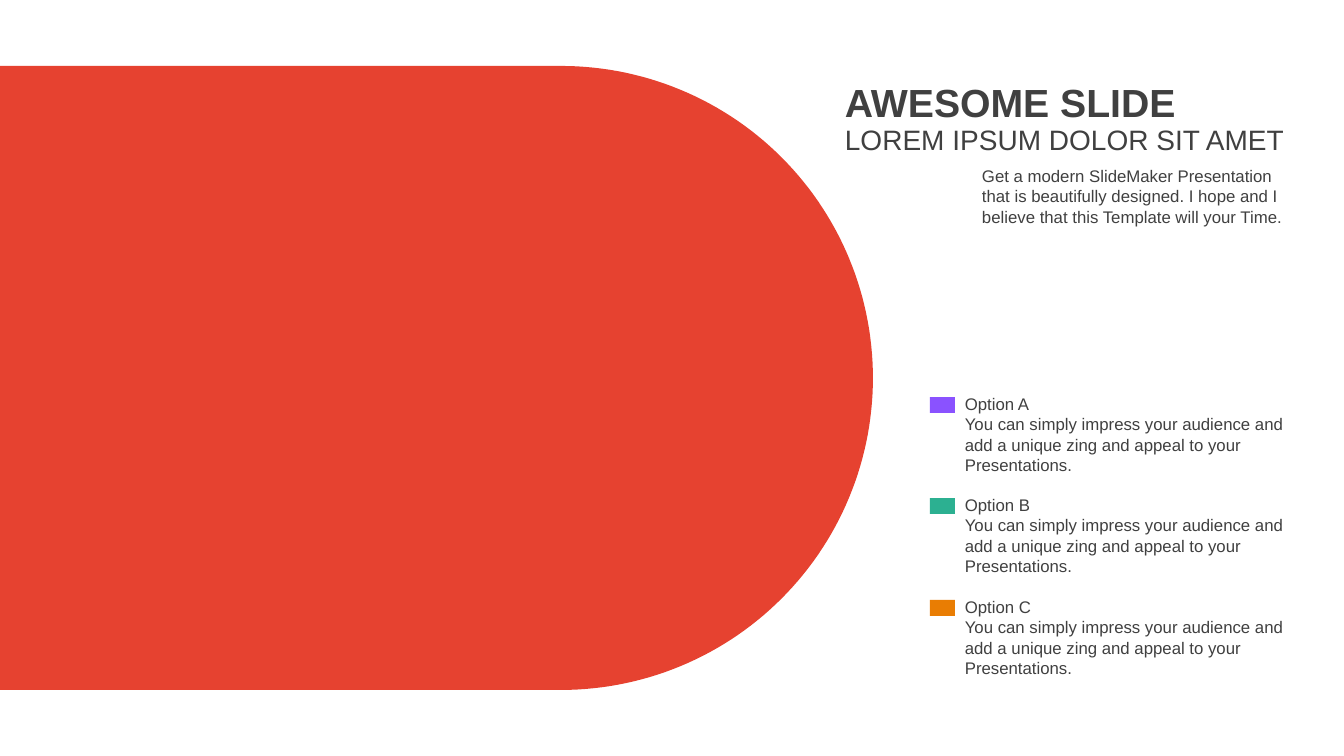
from math import cos, pi, sin

from pptx import Presentation
from pptx.dml.color import RGBColor
from pptx.enum.shapes import MSO_SHAPE
from pptx.enum.text import MSO_ANCHOR, MSO_AUTO_SIZE, PP_ALIGN
from pptx.util import Emu, Pt

PX = 914400 / 100.8
RED = RGBColor(0xE6, 0x42, 0x30)
VIOLET = RGBColor(0x8A, 0x52, 0xFF)
GREEN = RGBColor(0x2C, 0xB0, 0x91)
ORANGE = RGBColor(0xE9, 0x7D, 0x03)
GREY = RGBColor(0x40, 0x40, 0x40)

OPTIONS = [("Option A", VIOLET), ("Option B", GREEN), ("Option C", ORANGE)]
OPTION_DETAIL = (
    "You can simply impress your audience and add a unique zing "
    "and appeal to your Presentations."
)
INTRO = (
    "Get a modern SlideMaker Presentation that is beautifully designed. "
    "I hope and I believe that this Template will your Time."
)


def px(length):
    return Emu(round(length * PX))


def write(paragraph, text, size=12, bold=False, align=None, font="Arial", color=GREY):
    paragraph.alignment = align
    run = paragraph.add_run()
    run.text = text
    run.font.name = font
    run.font.size = Pt(size)
    run.font.bold = bold
    run.font.color.rgb = color


class SlideBuilder:
    def __init__(self, slide):
        self.shapes = slide.shapes

    def paint(self, shape, color):
        shape.shadow.inherit = False
        shape.fill.solid()
        shape.fill.fore_color.rgb = color
        shape.line.fill.background()

    def rounded_panel(self, top, bottom, right, color, steps=120):
        radius = (bottom - top) / 2
        center_x, center_y = right - radius, top + radius
        angles = [pi * step / steps - pi / 2 for step in range(steps + 1)]
        arc = [
            (px(center_x + radius * cos(angle)), px(center_y + radius * sin(angle)))
            for angle in angles
        ]
        outline = self.shapes.build_freeform(0, px(top))
        outline.add_line_segments(arc + [(0, px(bottom))], close=True)
        self.paint(outline.convert_to_shape(), color)

    def swatch(self, left, top, width, height, color, shapes):
        marker = shapes.add_shape(
            MSO_SHAPE.RECTANGLE, px(left), px(top), px(width), px(height)
        )
        self.paint(marker, color)

    def text(self, left, top, width, height, lines, shapes=None,
             anchor=MSO_ANCHOR.TOP, inset_left=None, **style):
        box = (shapes or self.shapes).add_textbox(
            px(left), px(top), px(width), px(height)
        )
        frame = box.text_frame
        frame.word_wrap = True
        frame.auto_size = MSO_AUTO_SIZE.SHAPE_TO_FIT_TEXT
        frame.vertical_anchor = anchor
        if inset_left is not None:
            frame.margin_left = px(inset_left)
        for index, line in enumerate(lines):
            paragraph = frame.add_paragraph() if index else frame.paragraphs[0]
            write(paragraph, line, **style)

    def option(self, top, label, color):
        group = self.shapes.add_group_shape()
        self.swatch(930, top, 25, 16, color, group.shapes)
        self.text(955, top - 8, 339, 92, [label, OPTION_DETAIL], group.shapes)


def main():
    presentation = Presentation()
    presentation.slide_width = px(1344)
    presentation.slide_height = px(756)
    builder = SlideBuilder(
        presentation.slides.add_slide(presentation.slide_layouts[6])
    )

    builder.rounded_panel(66, 690, 873, RED)
    for index, (label, color) in enumerate(OPTIONS):
        builder.option(397 + index * 203 // 2, label, color)

    heading = {"anchor": MSO_ANCHOR.MIDDLE, "align": PP_ALIGN.JUSTIFY}
    builder.text(835, 117, 459, 44, ["LOREM IPSUM DOLOR SIT AMET"], size=20, **heading)
    builder.text(835, 73, 459, 57, ["AWESOME SLIDE"], size=28, bold=True, **heading)
    builder.text(982, 161, 312, 72, [INTRO], inset_left=0)

    presentation.save("out.pptx")


if __name__ == "__main__":
    main()
